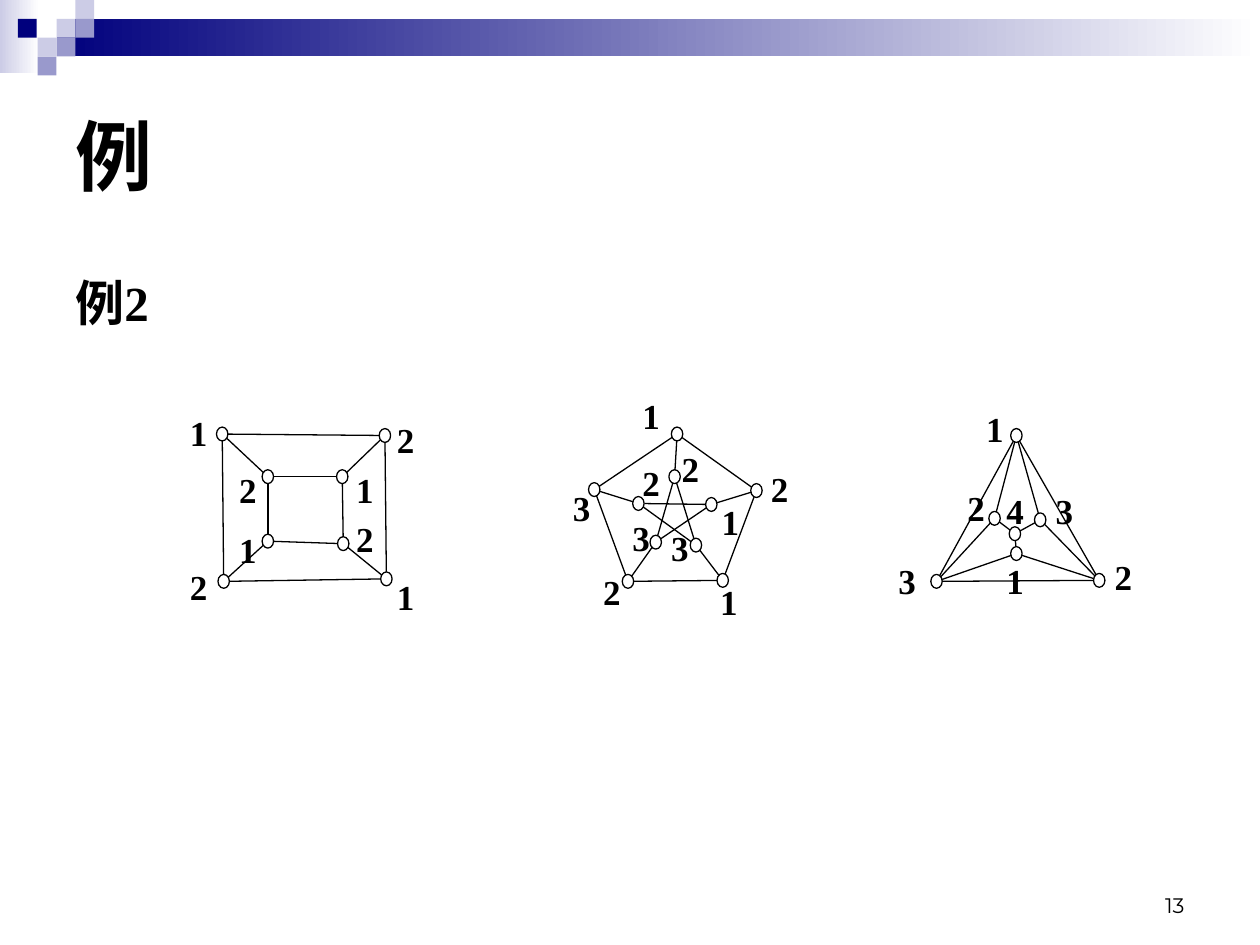
from dataclasses import dataclass
from math import hypot
from typing import NamedTuple

from lxml.etree import SubElement
from pptx import Presentation
from pptx.dml.color import RGBColor as Rgb
from pptx.enum.shapes import MSO_CONNECTOR as Connector, MSO_SHAPE as Preset
from pptx.enum.text import MSO_ANCHOR as Anchor, PP_ALIGN as Align
from pptx.oxml.ns import qn
from pptx.util import Cm, Pt


@dataclass(frozen=True)
class Theme:
    """Colours, fonts and sizes shared by the whole slide."""
    ink: Rgb = Rgb(0, 0, 0)
    paper: Rgb = Rgb(255, 255, 255)
    navy: Rgb = Rgb(0x00, 0x00, 0x7D)
    lilac: Rgb = Rgb(0x99, 0x99, 0xCC)
    pale: Rgb = Rgb(0xCC, 0xCC, 0xE6)
    sans: str = "Arial"
    serif: str = "Times New Roman"
    footer: str = "Montserrat"
    title_size: float = 44
    body_size: float = 28
    label_size: float = 20
    footer_size: float = 12
    edge_width: float = 0.75


THEME = Theme()
NODE_WIDTH, NODE_HEIGHT = 0.23, 0.28
EDGE_TRIM = 0.12
TILE = 0.38


class Box(NamedTuple):
    """A rectangle in centimetres."""
    left: float
    top: float
    width: float
    height: float

    def lengths(self) -> list:
        """Give the four values as slide lengths."""
        return [Cm(value) for value in self]


class Span(NamedTuple):
    """A piece of text in one font."""
    text: str
    font: str


class Vertex(NamedTuple):
    """A vertex centre, its colour number and that label's corner."""
    x: float
    y: float
    number: str
    label_left: float
    label_top: float


class Graph(NamedTuple):
    """Vertices and the index pairs that join them."""
    vertices: list[Vertex]
    edges: list[tuple[int, int]]


def ring(first: int, count: int, step: int = 1) -> list[tuple[int, int]]:
    """Join each of count vertices to the one step places further on."""
    return [(first + i, first + (i + step) % count) for i in range(count)]


def spokes(count: int) -> list[tuple[int, int]]:
    """Join each outer vertex to its inner partner."""
    return [(i, i + count) for i in range(count)]


GRAPHS = [
    Graph([Vertex(4.48, 8.75, "1", 3.58, 8.18),
           Vertex(7.76, 8.78, "2", 7.75, 8.31),
           Vertex(7.79, 11.67, "1", 7.75, 11.48),
           Vertex(4.51, 11.72, "2", 3.58, 11.28),
           Vertex(5.4, 9.61, "2", 4.57, 9.32),
           Vertex(6.9, 9.61, "1", 6.93, 9.32),
           Vertex(6.92, 10.96, "2", 6.93, 10.31),
           Vertex(5.4, 10.91, "1", 4.57, 10.52)],
          ring(0, 4) + ring(4, 4) + spokes(4)),
    Graph([Vertex(13.65, 8.75, "1", 12.7, 7.82),
           Vertex(15.25, 9.89, "2", 15.29, 9.3),
           Vertex(14.57, 11.7, "1", 14.27, 11.58),
           Vertex(12.66, 11.72, "2", 11.91, 11.38),
           Vertex(11.98, 9.87, "3", 11.3, 9.68),
           Vertex(13.6, 9.61, "2", 13.49, 8.89),
           Vertex(14.34, 10.17, "1", 14.3, 9.96),
           Vertex(14.03, 10.99, "3", 13.28, 10.49),
           Vertex(13.22, 10.93, "3", 12.5, 10.29),
           Vertex(12.87, 10.15, "2", 12.7, 9.17)],
          ring(0, 5) + ring(5, 5, 2) + spokes(5)),
    Graph([Vertex(20.49, 8.78, "1", 19.63, 8.1),
           Vertex(22.16, 11.7, "2", 22.22, 11.07),
           Vertex(18.88, 11.72, "3", 17.86, 11.15),
           Vertex(20.05, 10.45, "2", 19.25, 9.68),
           Vertex(20.97, 10.48, "3", 21.03, 9.75),
           Vertex(20.49, 11.16, "1", 20.04, 11.15),
           Vertex(20.46, 10.76, "4", 20.04, 9.75)],
          ring(0, 3) + [(0, 3), (2, 3), (0, 4), (1, 4), (1, 5), (2, 5),
                        (3, 6), (4, 6), (5, 6)]),
]

TILES = [
    (1.14, 0.38, THEME.pale), (1.52, 0, THEME.pale),
    (1.52, 0.38, THEME.lilac), (0.76, 0.76, THEME.pale),
    (0.36, 0.38, THEME.navy), (1.14, 0.76, THEME.lilac),
    (0.76, 1.14, THEME.lilac),
]


def add_block(page, box: Box, color: Rgb, fade: bool = False) -> None:
    """Draw a borderless rectangle, plain or fading to paper."""
    block = page.shapes.add_shape(Preset.RECTANGLE, *box.lengths())
    block.shadow.inherit = False
    block.line.fill.background()
    if fade:
        block.fill.gradient()
        block.fill.gradient_angle = 0
        for stop, tint in zip(block.fill.gradient_stops, (color, THEME.paper)):
            stop.color.rgb = tint
    else:
        block.fill.solid()
        block.fill.fore_color.rgb = color


def add_text(page, box: Box, spans: list[Span], size: float, bold: bool = True,
             anchor=Anchor.TOP, align=Align.LEFT, before: float = 0) -> None:
    """Write one paragraph in a text box."""
    frame = page.shapes.add_textbox(*box.lengths()).text_frame
    frame.word_wrap = True
    frame.vertical_anchor = anchor
    para = frame.paragraphs[0]
    para.alignment = align
    para.space_before = Pt(before)
    para.font.size = Pt(size)
    para.font.bold = bold
    para.font.color.rgb = THEME.ink
    for span in spans:
        run = para.add_run()
        run.text = span.text
        run.font.name = span.font


def add_edge(page, start: Vertex, end: Vertex) -> None:
    """Draw a line between two vertices, stopping at their rims."""
    reach = EDGE_TRIM / hypot(end.x - start.x, end.y - start.y)
    dx, dy = (end.x - start.x) * reach, (end.y - start.y) * reach
    edge = page.shapes.add_connector(
        Connector.STRAIGHT, Cm(start.x + dx), Cm(start.y + dy),
        Cm(end.x - dx), Cm(end.y - dy))
    edge.line.color.rgb = THEME.ink
    edge.line.width = Pt(THEME.edge_width)
    SubElement(edge._element.spPr, qn("a:effectLst"))


def add_node(page, vertex: Vertex) -> None:
    """Draw the small circle of a vertex."""
    box = Box(vertex.x - NODE_WIDTH / 2, vertex.y - NODE_HEIGHT / 2,
              NODE_WIDTH, NODE_HEIGHT)
    node = page.shapes.add_shape(Preset.OVAL, *box.lengths())
    node.shadow.inherit = False
    node.fill.solid()
    node.fill.fore_color.rgb = THEME.paper
    node.line.color.rgb = THEME.ink
    node.line.width = Pt(THEME.edge_width)


def add_graph(page, graph: Graph) -> None:
    """Draw the edges, circles and colour numbers of a graph."""
    for start, end in graph.edges:
        add_edge(page, graph.vertices[start], graph.vertices[end])
    for vertex in graph.vertices:
        add_node(page, vertex)
    for vertex in graph.vertices:
        add_text(page, Box(vertex.label_left, vertex.label_top, 1.19, 1.12),
                 [Span(vertex.number, THEME.serif)], THEME.label_size)


def main() -> None:
    """Build and save the slide."""
    deck = Presentation()
    deck.slide_width, deck.slide_height = Cm(25.4), Cm(19.05)
    page = deck.slides.add_slide(deck.slide_layouts[6])
    add_block(page, Box(0, 0, 0.79, 1.47), THEME.pale, fade=True)
    add_block(page, Box(1.14, 0.38, 24.26, 0.76), THEME.navy, fade=True)
    for left, top, color in TILES:
        add_block(page, Box(left, top, TILE, TILE), color)
    add_text(page, Box(1.27, 1.27, 22.86, 3.68), [Span("例", THEME.sans)],
             THEME.title_size, anchor=Anchor.MIDDLE)
    add_text(page, Box(1.27, 5.36, 22.86, 11.1),
             [Span("例", THEME.sans), Span("2", THEME.serif)],
             THEME.body_size, before=7)
    add_text(page, Box(18.21, 17.35, 5.92, 1.27), [Span("13", THEME.footer)],
             THEME.footer_size, bold=False, anchor=Anchor.BOTTOM, align=Align.RIGHT)
    for graph in GRAPHS:
        add_graph(page, graph)
    deck.save("out.pptx")


if __name__ == "__main__":
    main()
